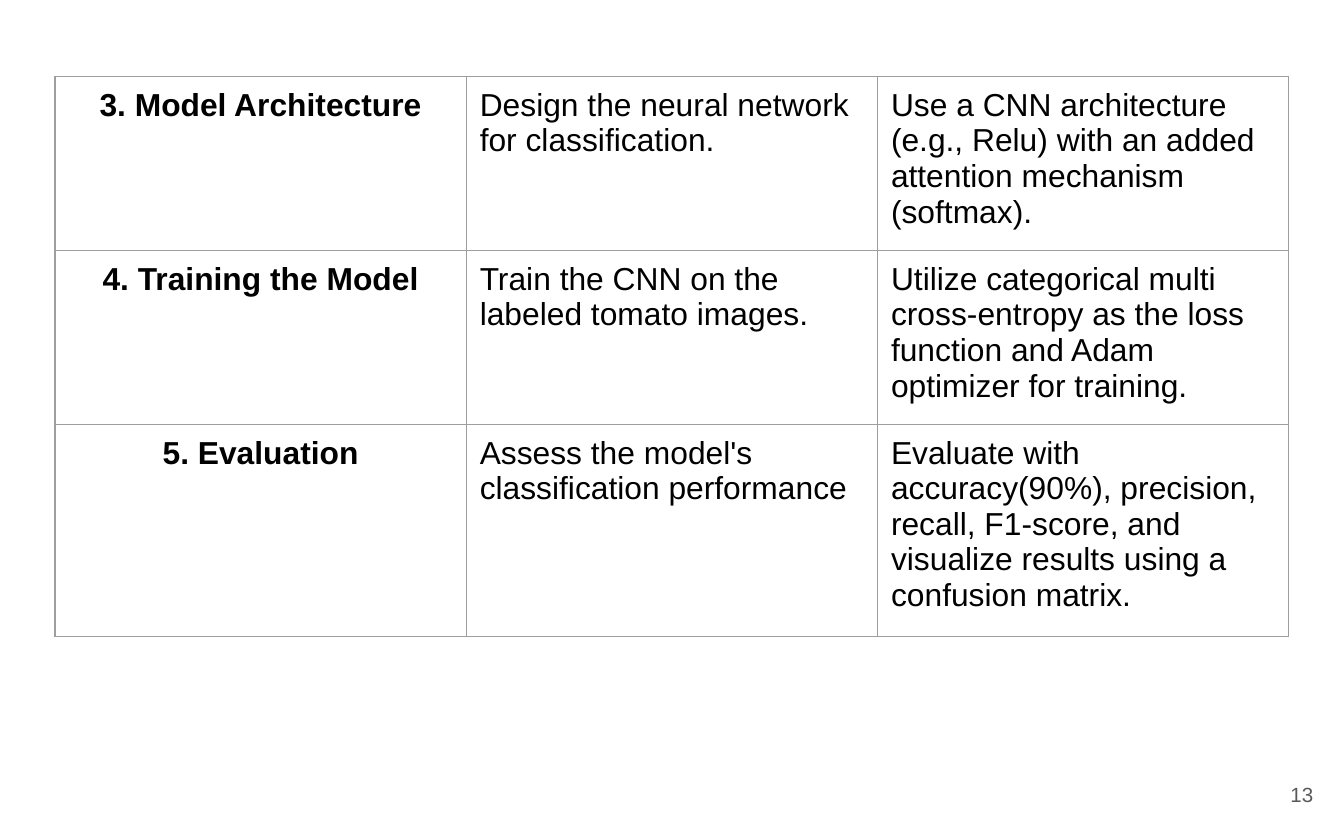
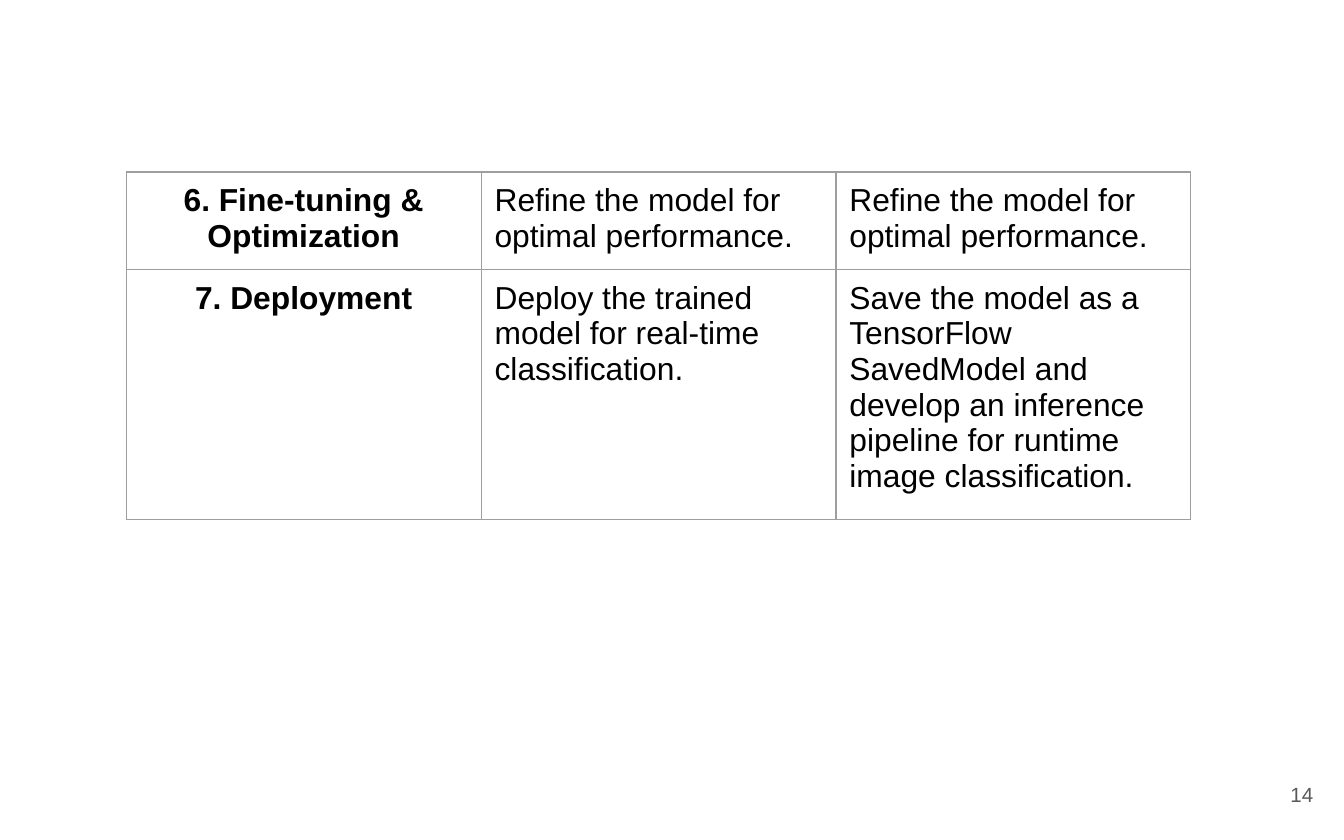
from pptx import Presentation
from pptx.dml.color import RGBColor
from pptx.enum.text import MSO_ANCHOR, PP_ALIGN
from pptx.oxml import parse_xml
from pptx.oxml.ns import nsdecls
from pptx.util import Inches, Pt

STEP_TABLES = [
    {
        "number": "13", "left": 0.41, "top": 0.57, "column": 3.06, "row": 1.06,
        "steps": [
            ("3. Model Architecture",
             "Design the neural network for classification.",
             "Use a CNN architecture (e.g., Relu) with an added attention mechanism (softmax)."),
            ("4. Training the Model",
             "Train the CNN on the labeled tomato images.",
             "Utilize categorical multi cross-entropy as the loss function and Adam optimizer for training."),
            ("5. Evaluation",
             "Assess the model's classification performance",
             "Evaluate with accuracy(90%), precision, recall, F1-score, and visualize results using a confusion matrix."),
        ],
    },
    {
        "number": "14", "left": 0.94, "top": 1.28, "column": 2.64, "row": 0.35,
        "steps": [
            ("6. Fine-tuning & Optimization",
             "Refine the model for optimal performance.",
             "Refine the model for optimal performance."),
            ("7. Deployment",
             "Deploy the trained model for real-time classification.",
             "Save the model as a TensorFlow SavedModel and develop an inference pipeline for runtime image classification."),
        ],
    },
]

WHITE = RGBColor(0xFF, 0xFF, 0xFF)
BLACK = RGBColor(0x00, 0x00, 0x00)
NUMBER_GREY = RGBColor(0x59, 0x59, 0x59)
BORDER_GREY = RGBColor(0x9E, 0x9E, 0x9E)

STEP_FONT = {"name": "Arial", "size": Pt(17), "bold": True}
DETAIL_FONT = STEP_FONT | {"bold": False}
NUMBER_FONT = {"name": "Arial", "size": Pt(11)}


def set_margins(holder, across, down):
    margins = {"left": across, "right": across, "top": down, "bottom": down}
    for side, length in margins.items():
        setattr(holder, f"margin_{side}", Inches(length))


def write(frame, text, font, color, align):
    para = frame.paragraphs[0]
    para.alignment = align
    span = para.add_run()
    span.text = text
    for name, value in font.items():
        setattr(span.font, name, value)
    span.font.color.rgb = color


def add_borders(cell):
    properties = cell._tc.get_or_add_tcPr()
    for side in "LRTB":
        properties.append(parse_xml(
            f'<a:ln{side} {nsdecls("a")} w="{Pt(0.75)}"><a:solidFill>'
            f'<a:srgbClr val="{BORDER_GREY}"/></a:solidFill></a:ln{side}>'))


def add_step_table(page, content):
    steps = content["steps"]
    rows, columns = len(steps), len(steps[0])
    table = page.shapes.add_table(
        rows, columns, Inches(content["left"]), Inches(content["top"]),
        Inches(columns * content["column"]), Inches(rows * content["row"])).table
    table.first_row = table.horz_banding = False
    for column in table.columns:
        column.width = Inches(content["column"])
    for row, step in zip(table.rows, steps):
        row.height = Inches(content["row"])
        for index, (cell, text) in enumerate(zip(row.cells, step)):
            add_borders(cell)
            cell.fill.background()
            set_margins(cell, 0.1, 0.08)
            font, align = (DETAIL_FONT, PP_ALIGN.LEFT) if index else (STEP_FONT, PP_ALIGN.CENTER)
            write(cell.text_frame, text, font, BLACK, align)


def add_page_number(page, number):
    box = page.shapes.add_textbox(Inches(9.27), Inches(5.67), Inches(0.6), Inches(0.48))
    frame = box.text_frame
    frame.word_wrap = True
    frame.vertical_anchor = MSO_ANCHOR.MIDDLE
    set_margins(frame, 0.1, 0.1)
    write(frame, number, NUMBER_FONT, NUMBER_GREY, PP_ALIGN.RIGHT)


def main():
    deck = Presentation()
    deck.slide_width, deck.slide_height = Inches(10), Inches(6.25)
    background = deck.slide_master.background.fill
    background.solid()
    background.fore_color.rgb = WHITE
    for content in STEP_TABLES:
        page = deck.slides.add_slide(deck.slide_layouts[6])
        add_page_number(page, content["number"])
        add_step_table(page, content)
    deck.save("out.pptx")


if __name__ == "__main__":
    main()
